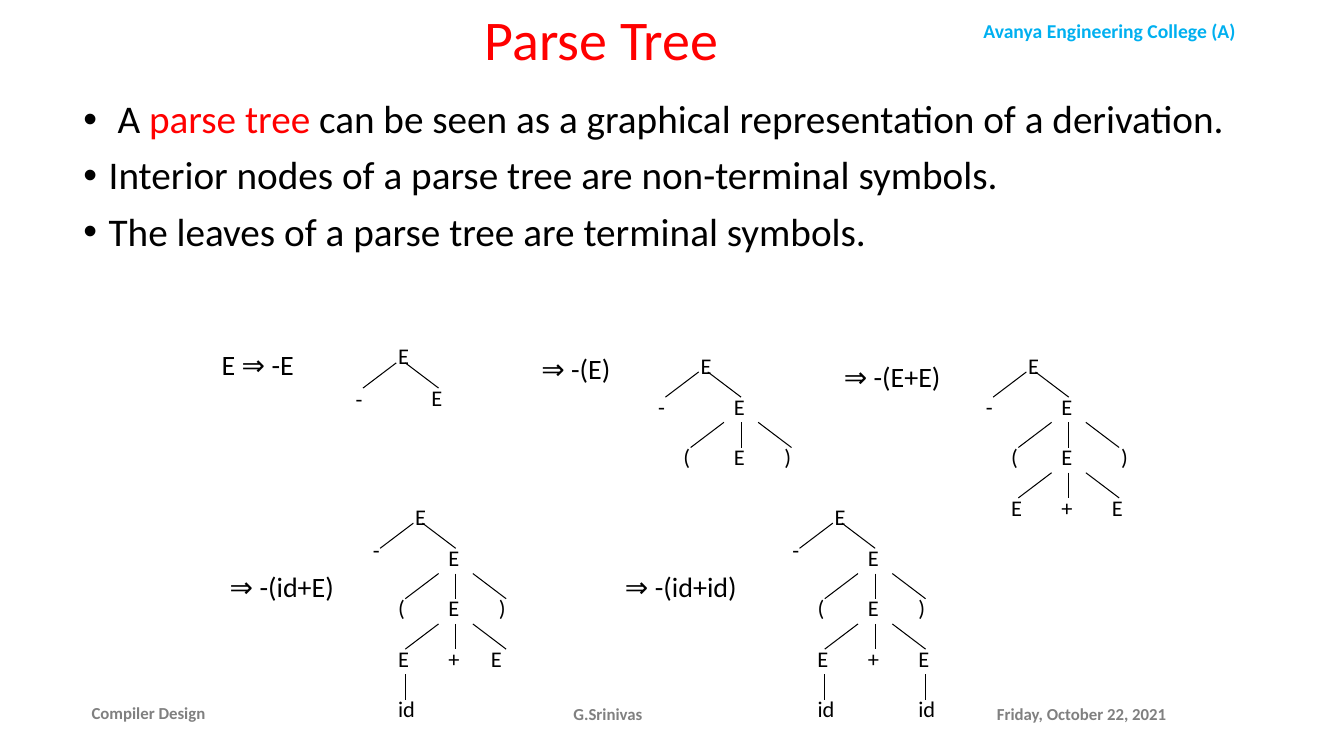
"""Builds a slide on parse trees, with one tree for each step of a derivation."""
from dataclasses import dataclass

from lxml import etree
from pptx import Presentation
from pptx.dml.color import RGBColor
from pptx.enum.shapes import MSO_CONNECTOR
from pptx.enum.text import MSO_ANCHOR, MSO_AUTO_SIZE, PP_ALIGN
from pptx.oxml.ns import qn
from pptx.util import Pt

STRAIGHT = MSO_CONNECTOR.STRAIGHT
TOP, MIDDLE = MSO_ANCHOR.TOP, MSO_ANCHOR.MIDDLE
LEFT, CENTER, JUSTIFY = PP_ALIGN.LEFT, PP_ALIGN.CENTER, PP_ALIGN.JUSTIFY
FIT_TEXT = MSO_AUTO_SIZE.SHAPE_TO_FIT_TEXT
PX = 9144


@dataclass(frozen=True)
class Theme:
    font: str = "Calibri"
    ink: RGBColor = RGBColor(0, 0, 0)
    accent: RGBColor = RGBColor(255, 0, 0)
    college: RGBColor = RGBColor(0, 176, 240)
    footer: RGBColor = RGBColor(128, 128, 128)
    title_size: int = 40
    body_size: int = 28
    step_size: int = 20
    node_size: int = 16
    college_size: int = 14
    footer_size: int = 12
    branch_width: float = 0.75


theme = Theme()
deck = Presentation()
deck.slide_width, deck.slide_height = 1333 * PX, 750 * PX
slide = deck.slides.add_slide(deck.slide_layouts[6])


def add_text(text, box, size, color, bold=False, align=LEFT, anchor=TOP, wrap=False, fit=True):
    frame = slide.shapes.add_textbox(*(length * PX for length in box)).text_frame
    frame.word_wrap = wrap
    frame.vertical_anchor = anchor
    if fit:
        frame.auto_size = FIT_TEXT
    paragraph = frame.paragraphs[0]
    paragraph.text = text
    paragraph.alignment = align
    paragraph.font.name = theme.font
    paragraph.font.size = Pt(size)
    paragraph.font.bold = bold
    paragraph.font.color.rgb = color


def add_branch(x1, y1, x2, y2):
    branch = slide.shapes.add_connector(STRAIGHT, x1 * PX, y1 * PX, x2 * PX, y2 * PX)
    branch.line.color.rgb = theme.ink
    branch.line.width = Pt(theme.branch_width)
    etree.SubElement(branch._element.spPr, qn("a:effectLst"))


add_text("Avanya Engineering College (A)", (909, 14, 383, 34), theme.college_size,
         theme.college, bold=True, align=CENTER, wrap=True)
add_text("Parse Tree", (471, 0, 254, 77), theme.title_size, theme.accent)

footers = [
    ("Compiler Design", (81, 687, 211, 40), JUSTIFY),
    ("G.Srinivas", (453, 688, 300, 40), CENTER),
    ("Friday, October 22, 2021", (979, 688, 273, 40), LEFT),
]
for text, box, align in footers:
    add_text(text, box, theme.footer_size, theme.footer, bold=True, align=align,
             anchor=MIDDLE, wrap=True, fit=False)

statements = [
    [(" A ", theme.ink), ("parse tree ", theme.accent),
     ("can be seen as a graphical representation of a derivation.", theme.ink)],
    [("Interior nodes of a parse tree are non-terminal symbols.", theme.ink)],
    [("The leaves of a parse tree are terminal symbols.", theme.ink)],
]
body = slide.shapes.add_textbox(73 * PX, 94 * PX, 1203 * PX, 496 * PX).text_frame
body.word_wrap = True
for index, statement in enumerate(statements):
    paragraph = body.add_paragraph() if index else body.paragraphs[0]
    paragraph.line_spacing = 0.9
    paragraph.space_before = Pt(10)
    paragraph.font.name = theme.font
    paragraph.font.size = Pt(theme.body_size)
    for text, color in statement:
        run = paragraph.add_run()
        run.text = text
        run.font.color.rgb = color
    properties = paragraph._p.get_or_add_pPr()
    properties.set("marL", str(25 * PX))
    properties.set("indent", str(-25 * PX))
    bullet_font = etree.Element(qn("a:buFont"), typeface="Arial")
    bullet = etree.Element(qn("a:buChar"), char="•")
    default_run = properties.find(qn("a:defRPr"))
    default_run.addprevious(bullet_font)
    default_run.addprevious(bullet)

NODE_WIDTHS = {"E": 34, "-": 28, "(": 28, ")": 28, "+": 33, "id": 38}
NODE_HEIGHT = 37
LEVEL_HEIGHT = 50
FIRST_LEVEL = 41
BRANCH_OFFSET = 75
BRANCH_HEIGHT = 25

parenthesized = [("(", -17), ("E", 33), (")", 83)]
sum_of_e = [("E", -17), ("+", 33), ("E", 83)]
steps = [
    ("E ⇒ -E", (210, 340, 112, 43), (385, 335), 42, []),
    ("⇒ -(E)", (527, 344, 99, 43), (685, 344), 41, [parenthesized]),
    ("⇒ -(E+E)", (827, 352, 132, 43), (1010, 344), 41,
     [[("(", -17), ("E", 33), (")", 92)], sum_of_e]),
    ("⇒ -(id+E)", (218, 560, 136, 43), (402, 494), 33,
     [parenthesized, [("E", -17), ("+", 33), ("E", 75)], [("id", -17)]]),
    ("⇒ -(id+id)", (610, 560, 141, 43), (818, 494), 33,
     [parenthesized, sum_of_e, [("id", -17), ("id", 83)]]),
]

for derivation, box, (root_x, root_y), minus_drop, levels in steps:
    add_text(derivation, box, theme.step_size, theme.ink)
    nodes = [("E", 0, 0), ("-", -42, minus_drop), ("E", 33, FIRST_LEVEL)]
    branches = [(8, -25, 25), (17, 50, 25)]
    for depth, level in enumerate(levels):
        drop = depth * LEVEL_HEIGHT
        nodes += [(symbol, dx, FIRST_LEVEL + LEVEL_HEIGHT + drop) for symbol, dx in level]
        if len(level) == 3:
            ends = [(33, 0), (50, 50), (67, 100)]
        else:
            ends = [(dx + 17, dx + 17) for _, dx in level]
        branches += [(start, end, BRANCH_OFFSET + drop) for start, end in ends]
    for start, end, drop in branches:
        add_branch(root_x + start, root_y + drop, root_x + end, root_y + drop + BRANCH_HEIGHT)
    for symbol, dx, dy in nodes:
        add_text(symbol, (root_x + dx, root_y + dy, NODE_WIDTHS[symbol], NODE_HEIGHT),
                 theme.node_size, theme.ink)

deck.save("out.pptx")
